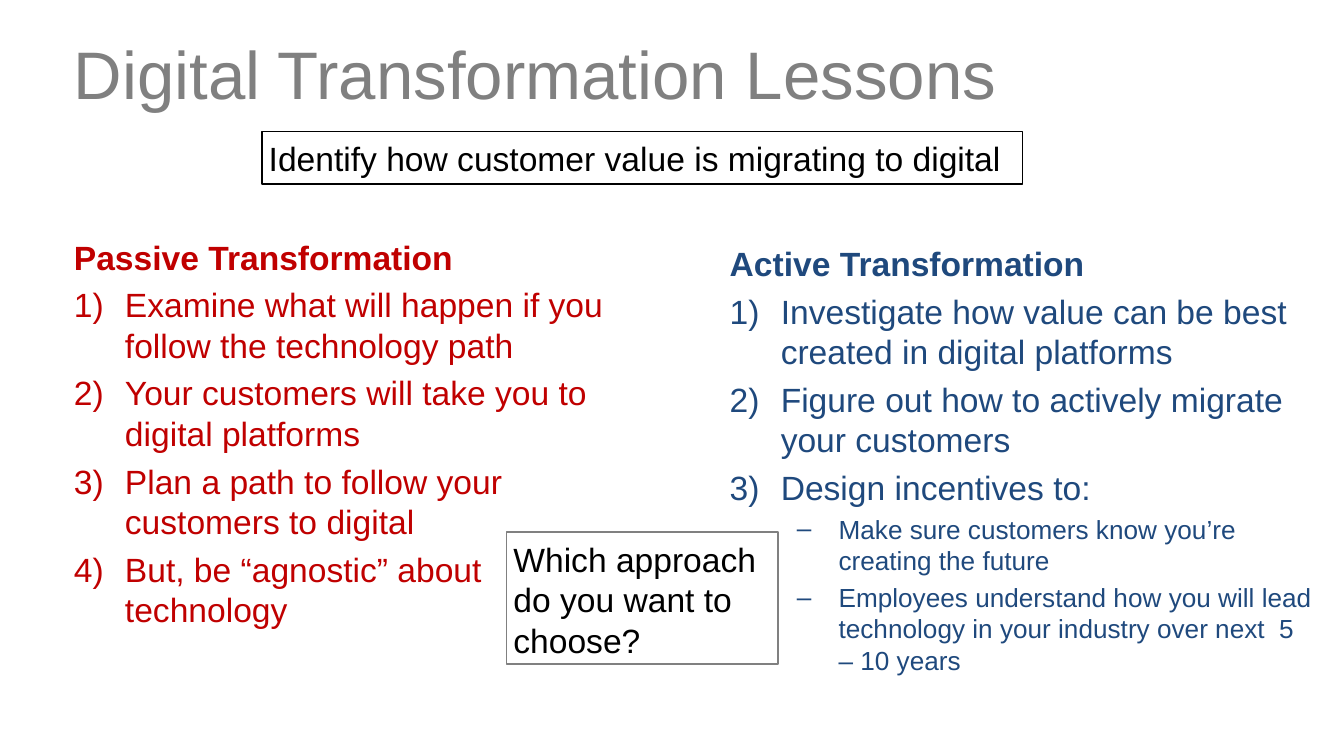
from lxml.etree import SubElement
from pptx import Presentation
from pptx.dml.color import RGBColor
from pptx.enum.shapes import MSO_SHAPE
from pptx.enum.text import MSO_ANCHOR, MSO_AUTO_SIZE, PP_ALIGN
from pptx.oxml.ns import qn
from pptx.util import Inches, Pt

HUES = {"gray": "808080", "red": "C00000", "blue": "1F497D", "black": "000000"}
TITLE = "Digital Transformation Lessons"
LEFT = [
    ("head", "Passive Transformation"),
    ("item", "Examine what will happen if you follow the technology path"),
    ("item", "Your customers will take you to digital platforms"),
    ("item", "Plan a path to follow your customers to digital"),
    ("item", "But, be “agnostic” about technology"),
]
RIGHT = [
    ("head", "Active Transformation"),
    ("item", "Investigate how value can be best created in digital platforms"),
    ("item", "Figure out how to actively migrate your customers"),
    ("item", "Design incentives to:"),
    ("sub", "Make sure customers know you’re creating the future"),
    ("sub", "Employees understand how you will lead technology in your "
            "industry over next  5 – 10 years"),
]
BOXES = [
    ("Identify how customer value is migrating to digital",
     (1.95, 0.98, 5.66, 0.39), "black"),
    ("Which approach do you want to choose?",
     (3.77, 3.96, 2.02, 0.98), "gray"),
]
KINDS = {
    "title": dict(size=36, gap=0, level=0, left=0, hang=0, bold=False,
                  mark=("a:buNone", {})),
    "note": dict(size=18, gap=0, level=0, left=0, hang=0, bold=False,
                 mark=("a:buNone", {})),
    "head": dict(size=18, gap=4, level=0, left=0, hang=0, bold=True,
                 mark=("a:buNone", {})),
    "item": dict(size=18, gap=4, level=0, left=0.38, hang=-0.38, bold=False,
                 mark=("a:buAutoNum", {"type": "arabicParenR"})),
    "sub": dict(size=14, gap=3, level=1, left=0.81, hang=-0.31, bold=False,
                mark=("a:buChar", {"char": "–"})),
}


def apply(thing, form):
    for name, value in form.items():
        setattr(thing, name, value)


def place(shape, area):
    sides = ("left", "top", "width", "height")
    apply(shape, {side: Inches(size) for side, size in zip(sides, area)})


def write(shape, lines, hue, anchor=MSO_ANCHOR.TOP):
    frame = shape.text_frame
    apply(frame, dict(word_wrap=True, auto_size=MSO_AUTO_SIZE.NONE,
                      vertical_anchor=anchor))
    for side in ("left", "top", "right", "bottom"):
        setattr(frame, "margin_" + side, Inches(0.05))
    frame.text = "\n".join(text for _, text in lines)
    for para, (kind, _) in zip(frame.paragraphs, lines):
        look = KINDS[kind]
        apply(para, dict(alignment=PP_ALIGN.LEFT, level=look["level"],
                         space_before=Pt(look["gap"])))
        font = para.runs[0].font
        apply(font, dict(name="Arial", size=Pt(look["size"]),
                         bold=look["bold"]))
        font.color.rgb = RGBColor.from_string(HUES[hue])
        props = para._p.get_or_add_pPr()
        props.set("marL", str(Inches(look["left"])))
        props.set("indent", str(Inches(look["hang"])))
        tag, attrs = look["mark"]
        SubElement(props, qn("a:buFont"), typeface="Arial")
        SubElement(props, qn(tag), attrs)


def main():
    deck = Presentation()
    wide = Inches(10)
    apply(deck, dict(slide_width=wide, slide_height=wide * 9 // 16))
    slide = deck.slides.add_slide(deck.slide_layouts[1])
    shapes = slide.shapes

    title, body = slide.placeholders
    place(title, (0.5, 0.07, 9, 0.94))
    write(title, [("title", TITLE)], "gray", MSO_ANCHOR.MIDDLE)
    place(body, (0.5, 1.71, 4.15, 3.41))
    write(body, LEFT, "red")

    area = [Inches(size) for size in (5.38, 1.76, 4.46, 3.23)]
    write(shapes.add_textbox(*area), RIGHT, "blue")

    for text, area, hue in BOXES:
        box = shapes.add_shape(MSO_SHAPE.RECTANGLE, *map(Inches, area))
        box.shadow.inherit = False
        box.fill.background()
        box.line.color.rgb = RGBColor.from_string(HUES[hue])
        box.line.width = Pt(0.75)
        write(box, [("note", text)], "black")

    deck.save("out.pptx")


if __name__ == "__main__":
    main()
